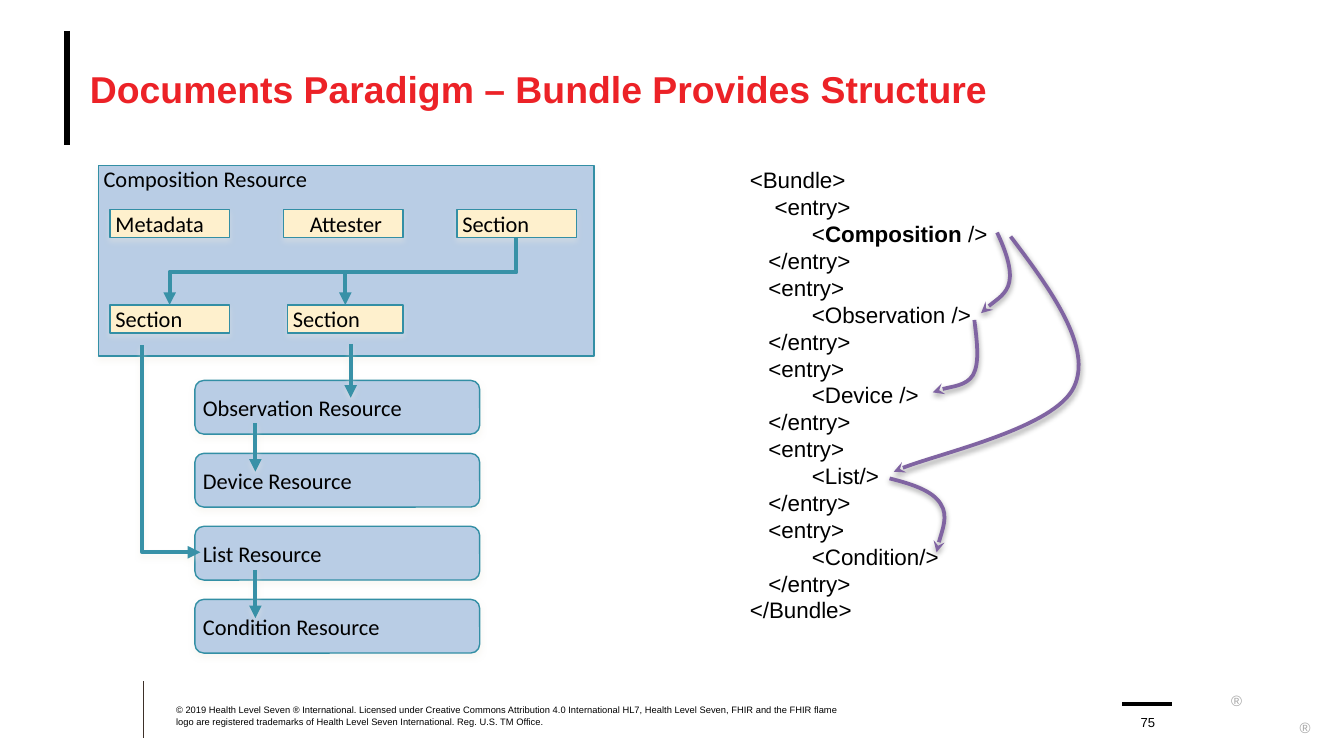
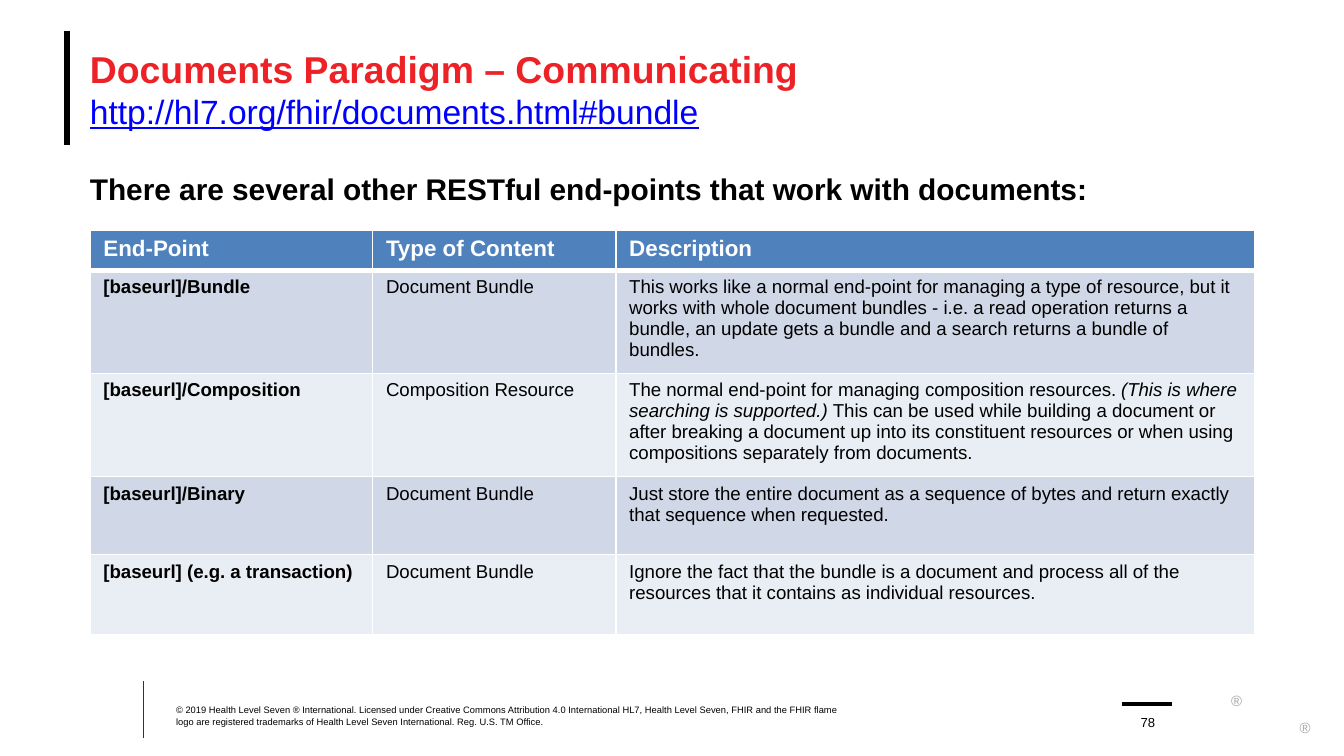
from lxml.etree import SubElement
from pptx import Presentation
from pptx.dml.color import RGBColor
from pptx.enum.shapes import MSO_CONNECTOR as Connector, MSO_SHAPE as Preset
from pptx.enum.text import MSO_ANCHOR as Anchor, PP_ALIGN as Align
from pptx.oxml.ns import qn
from pptx.util import Pt

BLACK = RGBColor(0x00, 0x00, 0x00)
WHITE = RGBColor(0xFF, 0xFF, 0xFF)
RED = RGBColor(0xEC, 0x22, 0x27)
LINK_BLUE = RGBColor(0x00, 0x00, 0xFF)
GREY = RGBColor(0xA6, 0xA6, 0xA6)
BROWN = RGBColor(0x3D, 0x30, 0x29)
PALE_BLUE = RGBColor(0xB9, 0xCD, 0xE5)
CREAM = RGBColor(0xFE, 0xF0, 0xCD)
OUTLINE = RGBColor(0x33, 0x8F, 0xA5)
TEAL = RGBColor(0x38, 0x91, 0xA7)
PURPLE = RGBColor(0x80, 0x64, 0xA2)
SHADE = RGBColor(0xEE, 0xEC, 0xE1)
HEADER_BLUE = RGBColor(0x4F, 0x81, 0xBD)
BANDS = (RGBColor(0xD0, 0xD8, 0xE8), RGBColor(0xE9, 0xED, 0xF4))

TITLE = {"size": Pt(20), "bold": True, "color": RED}
LINK = {"size": Pt(18), "bold": False, "underline": True, "color": LINK_BLUE}
LABEL = {"name": "Calibri", "size": Pt(12)}
NO_INSETS = (0, 0, 0, 0)
LABEL_INSETS = (2.9, 0, 0, 0)
TEXT_INSETS = (7.2, 3.6, 7.2, 3.6)
COPYRIGHT = (
    "© 2019 Health Level Seven ® International. Licensed under Creative Commons "
    "Attribution 4.0 International HL7, Health Level Seven, FHIR and the FHIR flame "
    "logo are registered trademarks of Health Level Seven International. Reg. U.S. TM Office."
)
BUNDLE_CODE = [
    "<Bundle>",
    "    <entry>",
    [("          <", {}), ("Composition", {"bold": True}), (" />", {})],
    "   </entry>",
    "   <entry>",
    "          <Observation />",
    "   </entry>",
    "   <entry>",
    "          <Device />",
    "   </entry>",
    "   <entry>",
    "          <List/>",
    "   </entry>",
    "   <entry>",
    "          <Condition/>",
    "   </entry>",
    "</Bundle>",
]
REFERENCE_CURVES = [
    [(534.2, 124.6), (538.6, 133.9), (542.2, 144), (540.7, 151.2),
     (539.3, 157.7), (527.8, 164.9), (525.6, 167.8)],
    [(541.4, 126.7), (563.8, 156.2), (585.4, 186.5), (575.3, 207.4),
     (565.2, 229), (494.6, 244.8), (478.8, 252.7)],
    [(522, 171.4), (523.4, 182.9), (524.9, 194.4), (521.3, 200.9),
     (517.7, 206.6), (503.3, 208.1), (499.7, 210.2)],
    [(476.6, 256.3), (488.2, 259.2), (499.7, 262.8), (504, 270),
     (508.3, 276.5), (501.8, 293), (501.8, 295.9)],
]
END_POINTS = [
    ("End-Point", "Type of Content", "Description"),
    ("[baseurl]/Bundle", "Document Bundle",
     "This works like a normal end-point for managing a type of resource, but it works "
     "with whole document bundles - i.e. a read operation returns a bundle, an update "
     "gets a bundle and a search returns a bundle of bundles."),
    ("[baseurl]/Composition", "Composition Resource",
     [("The normal end-point for managing composition resources. ", {}),
      ("(This is where searching is supported.) ", {"italic": True}),
      ("This can be used while building a document or after breaking a document up into "
       "its constituent resources or when using compositions separately from documents.", {})]),
    ("[baseurl]/Binary", "Document Bundle",
     "Just store the entire document as a sequence of bytes and return exactly that "
     "sequence when requested."),
    ("[baseurl] (e.g. a transaction)", "Document Bundle",
     "Ignore the fact that the bundle is a document and process all of the resources "
     "that it contains as individual resources."),
]


def points(values):
    """Convert numbers to lengths in points."""
    return [Pt(value) for value in values]


class Deck:
    """Hold the shared style and the current slide."""

    def __init__(self):
        """Start an empty widescreen presentation."""
        self.presentation = Presentation()
        self.presentation.slide_width = Pt(720)
        self.presentation.slide_height = Pt(405)
        self.slide = None

    def start_slide(self, title, number):
        """Add a slide with its title, rules and footer."""
        self.slide = self.presentation.slides.add_slide(self.presentation.slide_layouts[6])
        self.line((77, 365), (77, 395.3), BROWN, 0.5)
        self.line((36, 16.6), (36, 77.8), BLACK, 3.25)
        self.line((601.2, 377.3), (627.8, 377.3), BLACK, 2)
        for box in ((659.5, 367.2, 7.9, 6.5), (696.2, 381.6, 6.5, 6.5)):
            self.text(box, ["®"], {"size": Pt(8), "color": GREY}, insets=(0, 3.6, 0, 0))
        self.text((48.2, 16.6, 648, 61.9), [title], TITLE, anchor=Anchor.MIDDLE)
        self.text((604.1, 377.3, 21.6, 13.7), [number], {"size": Pt(7)},
                  anchor=Anchor.BOTTOM, align=Align.CENTER)
        self.text((94.3, 377.3, 356.4, 12.2), [COPYRIGHT], {"size": Pt(5)}, anchor=Anchor.BOTTOM)

    def fill_text(self, frame, paragraphs, style, align=Align.LEFT):
        """Fill a text frame with plain or mixed-format paragraphs."""
        for index, content in enumerate(paragraphs):
            paragraph = frame.add_paragraph() if index else frame.paragraphs[0]
            paragraph.alignment = align
            for text, change in [(content, {})] if isinstance(content, str) else content:
                if text == "\n":
                    paragraph.add_line_break()
                    continue
                run = paragraph.add_run()
                run.text = text
                values = {"name": "Arial", "color": BLACK, **style, **change}
                run.font.color.rgb = values.pop("color")
                for attribute, value in values.items():
                    setattr(run.font, attribute, value)

    def lay_out(self, frame, insets, anchor):
        """Set wrapping, insets and anchor of a text frame."""
        left, top, right, bottom = points(insets)
        layout = {"word_wrap": True, "vertical_anchor": anchor, "margin_left": left,
                  "margin_top": top, "margin_right": right, "margin_bottom": bottom}
        for attribute, value in layout.items():
            setattr(frame, attribute, value)

    def text(self, box, paragraphs, style, insets=NO_INSETS, anchor=Anchor.TOP, align=Align.LEFT):
        """Add a text box."""
        frame = self.slide.shapes.add_textbox(*points(box)).text_frame
        self.lay_out(frame, insets, anchor)
        self.fill_text(frame, paragraphs, style, align)

    def box(self, box, label, fill, preset=Preset.RECTANGLE, anchor=Anchor.TOP, align=Align.LEFT):
        """Add a labelled and shaded box."""
        shape = self.slide.shapes.add_shape(preset, *points(box))
        shape.fill.solid()
        shape.fill.fore_color.rgb = fill
        self.stroke(shape, OUTLINE, 0.75)
        self.shade(shape, SHADE, 35, 1.8)
        self.lay_out(shape.text_frame, LABEL_INSETS, anchor)
        self.fill_text(shape.text_frame, [label], LABEL, align)

    def stroke(self, shape, color, width, arrow=None):
        """Set the line of a shape and its arrowhead."""
        shape.line.color.rgb = color
        shape.line.width = Pt(width)
        if arrow:
            SubElement(shape.element.spPr.get_or_add_ln(), qn("a:tailEnd"), type=arrow)

    def shade(self, shape, color=None, opacity=0, distance=1.6):
        """Replace the theme shadow by none or by a soft one below."""
        effects = shape.element.spPr.get_or_add_effectLst()
        if color is not None:
            shadow = SubElement(effects, qn("a:outerShdw"), blurRad=str(Pt(3)),
                                dist=str(Pt(distance)), dir="5400000", rotWithShape="0")
            tint = SubElement(shadow, qn("a:srgbClr"), val=str(color))
            SubElement(tint, qn("a:alpha"), val=str(opacity * 1000))

    def line(self, start, end, color, width, arrow=None):
        """Add a straight line, shaded when it is an arrow."""
        connector = self.slide.shapes.add_connector(Connector.STRAIGHT, *points(start + end))
        self.stroke(connector, color, width, arrow)
        self.shade(connector, SHADE if arrow else None, 38)

    def elbow(self, start, end):
        """Add an elbow arrow that leaves downwards and turns left."""
        (x1, y1), (x2, y2) = start, end
        middle_x, middle_y = (x1 + x2) / 2, (y1 + y2) / 2
        half_width, half_height = (y2 - y1) / 2, (x1 - x2) / 2
        connector = self.slide.shapes.add_connector(Connector.ELBOW, *points((
            middle_x - half_width, middle_y - half_height,
            middle_x + half_width, middle_y + half_height)))
        connector.element.spPr.xfrm.set("rot", "5400000")
        self.stroke(connector, TEAL, 2.25, "triangle")
        self.shade(connector)

    def route(self, stops, color, width, arrow, shadow, curved=False):
        """Add an open arrow through stops, or along cubic curves they control."""
        stops = [points(stop) for stop in stops]
        builder = self.slide.shapes.build_freeform(*stops[0])
        builder.add_line_segments(stops[1:], close=False)
        shape = builder.convert_to_shape()
        if curved:
            outline = shape.element.find(".//" + qn("a:path"))
            segments = list(outline)[1:]
            for first in range(0, len(segments), 3):
                curve = SubElement(outline, qn("a:cubicBezTo"))
                for segment in segments[first:first + 3]:
                    curve.append(segment[0])
                    outline.remove(segment)
        shape.fill.background()
        self.stroke(shape, color, width, arrow)
        self.shade(shape, shadow, 38)

    def table(self, corner, widths, heights, rows):
        """Add a banded table with a header row and white rules."""
        size = (sum(widths), sum(heights))
        table = self.slide.shapes.add_table(len(rows), len(widths), *points(corner + size)).table
        for column, width in zip(table.columns, points(widths)):
            column.width = width
        for row, height in zip(table.rows, points(heights)):
            row.height = height
        for row_index, row in enumerate(rows):
            header = row_index == 0
            for column_index, content in enumerate(row):
                cell = table.cell(row_index, column_index)
                rules = {"L": 1, "R": 1, "T": 3 if row_index == 1 else 1, "B": 3 if header else 1}
                for side, width in rules.items():
                    rule = SubElement(cell._tc.get_or_add_tcPr(), qn("a:ln" + side), w=str(Pt(width)))
                    SubElement(SubElement(rule, qn("a:solidFill")), qn("a:srgbClr"), val=str(WHITE))
                cell.fill.solid()
                cell.fill.fore_color.rgb = HEADER_BLUE if header else BANDS[(row_index - 1) % 2]
                self.fill_text(cell.text_frame, [content], {
                    "size": Pt(12 if header else 10),
                    "bold": header or column_index == 0,
                    "color": WHITE if header else BLACK})


def build_structure(deck):
    """Build the slide on the structure of a bundle."""
    deck.start_slide("Documents Paradigm – Bundle Provides Structure", "75")
    deck.box((52.6, 88.6, 265.7, 102.2), "Composition Resource", PALE_BLUE)
    for index, label in enumerate(("Metadata", "Attester", "Section")):
        deck.box((59 + 92.9 * index, 112.3, 64, 15.1), label, CREAM,
                 align=Align.CENTER if label == "Attester" else Align.LEFT)
    for left, width in ((59, 64), (154.1, 61.9)):
        deck.box((left, 163.4, width, 15.1), "Section", CREAM)
    for index, name in enumerate(("Observation", "Device", "List", "Condition")):
        deck.box((104.4, 203.8 + 39.1 * index, 152.6, 28.8), f"{name} Resource", PALE_BLUE,
                 Preset.ROUNDED_RECTANGLE, Anchor.MIDDLE)
    for left, top, bottom in ((187.9, 184.3, 213.1), (136.8, 226.8, 252.7), (136.8, 305.3, 331.2)):
        deck.line((left, top), (left, bottom), TEAL, 2.25, "triangle")
    for left in (90.9, 185):
        deck.elbow((276.5, 127.8), (left, 163.4))
    deck.route([(76.3, 185), (76.3, 295.9), (107.3, 295.9)], TEAL, 2.25, "triangle", SHADE)
    deck.text((394.6, 85.7, 144, 254.2), BUNDLE_CODE, {"size": Pt(12)}, insets=TEXT_INSETS)
    for stops in REFERENCE_CURVES:
        deck.route(stops, PURPLE, 2, "stealth", BLACK, curved=True)


def build_communicating(deck):
    """Build the slide on end-points for documents."""
    deck.start_slide([("Documents Paradigm – Communicating", {}), ("\n", {}),
                      ("http://hl7.org/fhir/documents.html#bundle", LINK)], "78")
    deck.text((48.2, 91.4, 624.2, 17.3),
              ["There are several other RESTful end-points that work with documents:"],
              {"size": Pt(16), "bold": True})
    deck.table((48.2, 123.1), (151.4, 130.3, 342.3), (20.2, 43.2, 51.8, 41.8, 43.2), END_POINTS)


def main():
    """Build and save the presentation."""
    deck = Deck()
    build_structure(deck)
    build_communicating(deck)
    deck.presentation.save("out.pptx")


if __name__ == "__main__":
    main()
